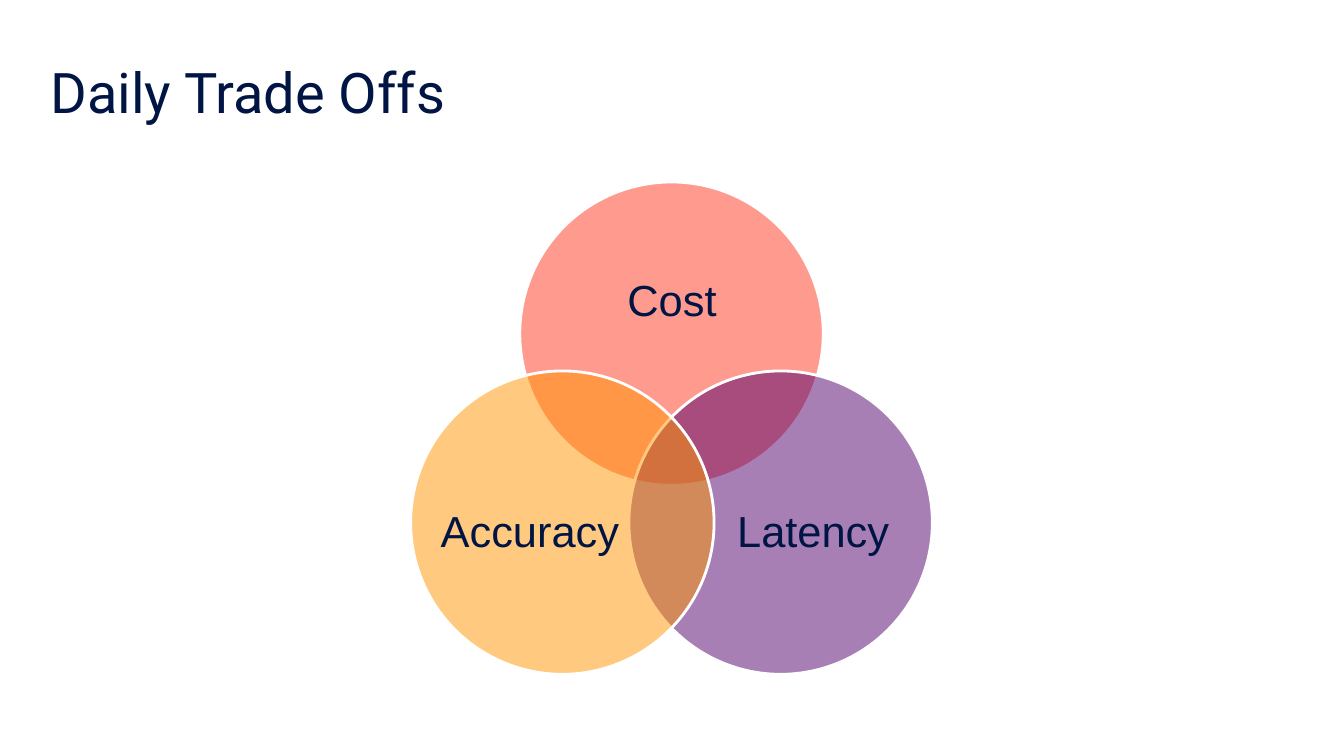
from math import cos, radians, sin

from lxml.etree import SubElement
from pptx import Presentation
from pptx.dml.color import RGBColor
from pptx.enum.shapes import MSO_SHAPE
from pptx.enum.text import MSO_ANCHOR, PP_ALIGN
from pptx.oxml.ns import qn
from pptx.util import Inches, Pt

TITLE = "Daily Trade Offs"
TRADE_OFFS = [
    {"name": "Cost", "angle": -90, "color": "FF3620", "label": (5.56, 2.32, 2.21, 1.36)},
    {"name": "Latency", "angle": 30, "color": "51006C", "label": (7.16, 4.46, 1.81, 1.66)},
    {"name": "Accuracy", "angle": 150, "color": "FF9600", "label": (4.35, 4.46, 1.81, 1.66)},
]
THEME = {
    "text": "001543",
    "outline": "FFFFFF",
    "outline_width": 2,
    "opacity": 50,
    "title_font": "Roboto",
    "title_size": 40,
    "label_font": "Arial",
    "label_size": 31,
}
VENN_CENTER = (6.66, 4.56)
VENN_RADIUS = 1.25
DIAMETER = 3.01


def add_text(slide, text, box, font, size, alignment, inset=0):
    frame = slide.shapes.add_textbox(*map(Inches, box)).text_frame
    frame.word_wrap = True
    frame.vertical_anchor = MSO_ANCHOR.MIDDLE
    frame.margin_left = frame.margin_right = 0
    frame.margin_top = frame.margin_bottom = Inches(inset)
    paragraph = frame.paragraphs[0]
    paragraph.text = text
    paragraph.alignment = alignment
    paragraph.line_spacing = 0.9
    paragraph.font.name = font
    paragraph.font.size = Pt(size)
    paragraph.font.color.rgb = RGBColor.from_string(THEME["text"])


def add_circle(slide, angle, color):
    left = VENN_CENTER[0] + VENN_RADIUS * cos(radians(angle)) - DIAMETER / 2
    top = VENN_CENTER[1] + VENN_RADIUS * sin(radians(angle)) - DIAMETER / 2
    shape = slide.shapes.add_shape(
        MSO_SHAPE.OVAL, Inches(left), Inches(top), Inches(DIAMETER), Inches(DIAMETER)
    )
    shape.shadow.inherit = False
    shape.fill.solid()
    shape.fill.fore_color.rgb = RGBColor.from_string(color)
    fill_color = shape.element.spPr.find(qn("a:solidFill")).find(qn("a:srgbClr"))
    SubElement(fill_color, qn("a:alpha")).set("val", str(THEME["opacity"] * 1000))
    shape.line.color.rgb = RGBColor.from_string(THEME["outline"])
    shape.line.width = Pt(THEME["outline_width"])


def main():
    presentation = Presentation()
    presentation.slide_width = Inches(13.33)
    presentation.slide_height = Inches(7.5)
    slide = presentation.slides.add_slide(presentation.slide_layouts[6])
    add_text(slide, TITLE, (0.5, 0.4, 12.31, 1.09), THEME["title_font"],
             THEME["title_size"], PP_ALIGN.LEFT, inset=0.05)
    for trade_off in TRADE_OFFS:
        add_circle(slide, trade_off["angle"], trade_off["color"])
        add_text(slide, trade_off["name"], trade_off["label"], THEME["label_font"],
                 THEME["label_size"], PP_ALIGN.CENTER)
    presentation.save("out.pptx")


if __name__ == "__main__":
    main()
